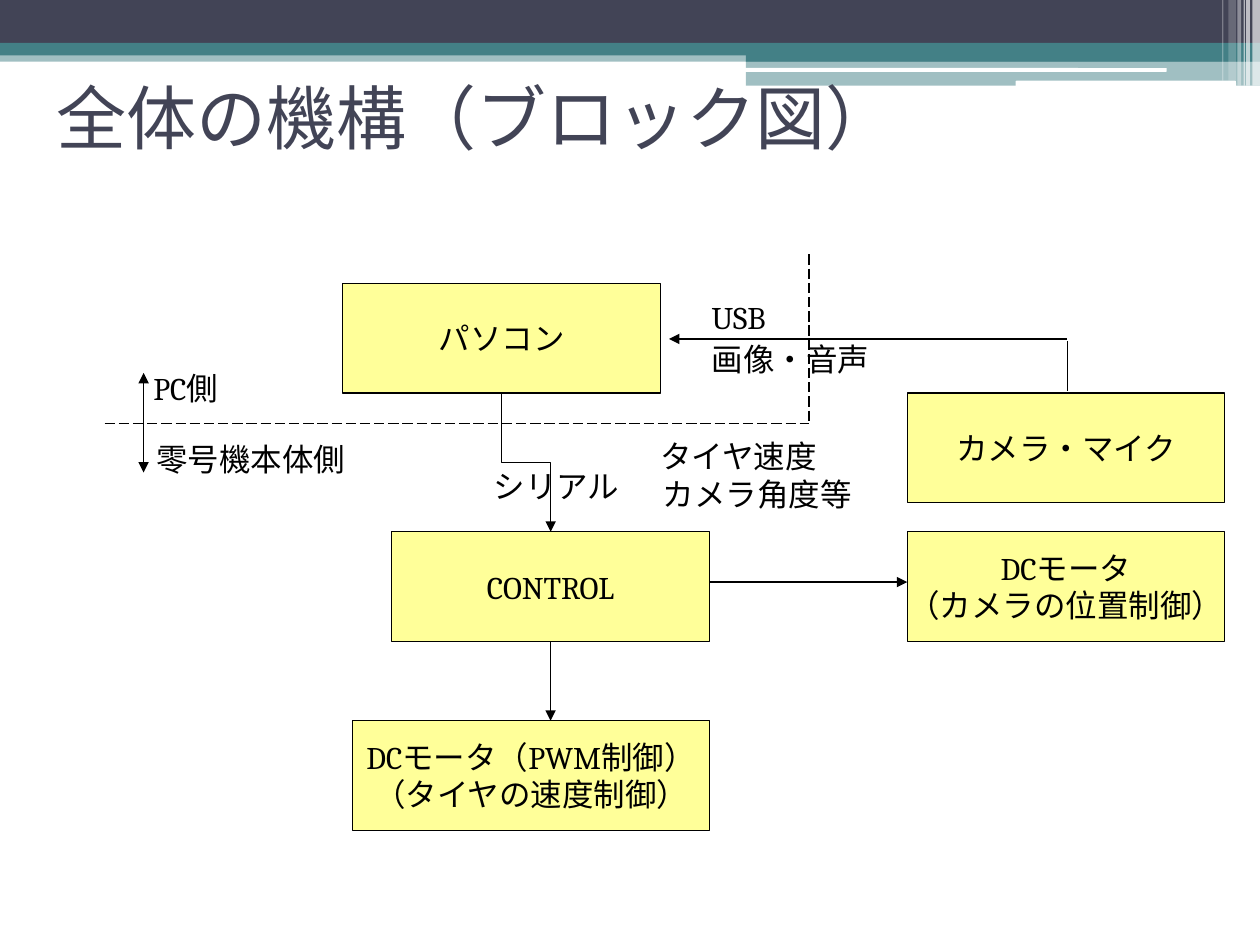
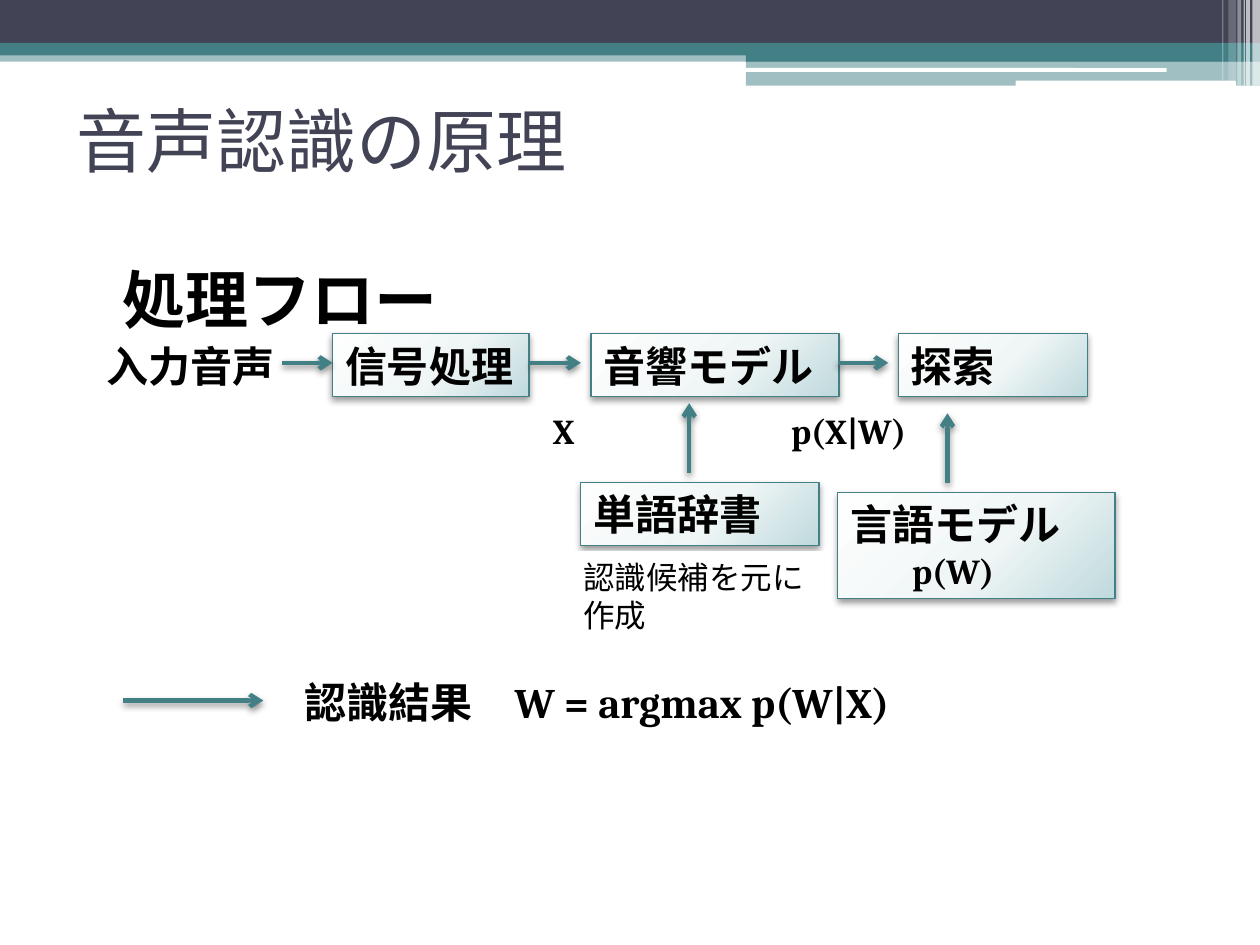
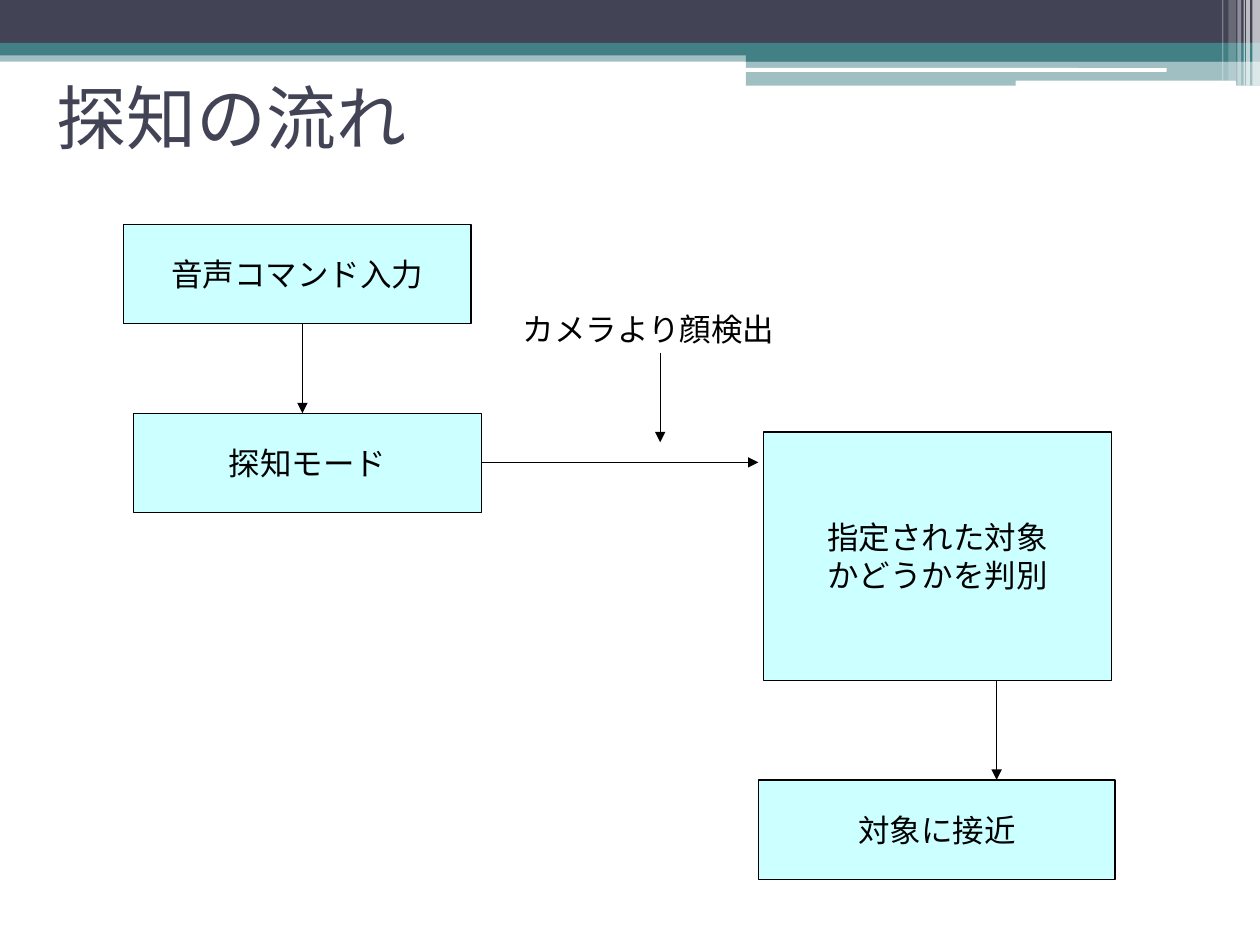
import pptx
import pptx.dml.color
import pptx.enum.dml
import pptx.enum.shapes
import pptx.enum.text
import pptx.oxml
import pptx.oxml.ns
import pptx.util

COLUMNS, ROWS = 100, 75
NAVY, TEAL, WHITE, BLACK = "424456", "438086", "FFFFFF", "000000"
YELLOW, AQUA = "FFFF99", "CCFFFF"
JAPANESE_FONT = "Noto Sans CJK JP"
RECTANGLE = pptx.enum.shapes.MSO_SHAPE.RECTANGLE
ROUNDED = pptx.enum.shapes.MSO_SHAPE.ROUNDED_RECTANGLE
TOP = pptx.enum.text.MSO_ANCHOR.TOP
MIDDLE = pptx.enum.text.MSO_ANCHOR.MIDDLE
LEFT = pptx.enum.text.PP_ALIGN.LEFT
CENTER = pptx.enum.text.PP_ALIGN.CENTER
NAMESPACE = pptx.oxml.ns.nsdecls("a")
GLOSS_STOPS = ((0, "FEFEFE"), (55, "F0F6F6"), (100, "BFD9DD"))

BANDS = (
    (0, 4, 100, 0.9, TEAL, 50, RECTANGLE),
    (0, 0, 100, 3.4, NAVY, 100, RECTANGLE),
    (0, 3.4, 100, 1, TEAL, 100, RECTANGLE),
    (59.2, 3.9, 40.8, 1, TEAL, 100, RECTANGLE),
    (59.2, 4.8, 40.8, 2, TEAL, 50, RECTANGLE),
    (59.1, 5.4, 33.5, 0.3, WHITE, 100, ROUNDED),
    (80.6, 6.4, 17.5, 0.5, WHITE, 100, ROUNDED),
    (99.4, 0, 0.6, 6.8, WHITE, 65, RECTANGLE),
    (98.9, 0, 0.3, 6.8, WHITE, 65, RECTANGLE),
    (98.7, 0, 0.1, 6.8, WHITE, 60, RECTANGLE),
    (98.2, 0, 0.3, 6.8, WHITE, 40, RECTANGLE),
    (97.5, 0, 0.6, 6.4, WHITE, 20, RECTANGLE),
    (97, 0, 0.1, 6.4, WHITE, 30, RECTANGLE),
)


def color(value):
    return pptx.dml.color.RGBColor.from_string(value)


def element(markup):
    return pptx.oxml.parse_xml(markup.replace(" ", f" {NAMESPACE} ", 1))


def write_text(frame, text, font="Cambria", size=18, ink=BLACK, bold=False,
               align=LEFT, anchor=TOP, wrap=True):
    frame.auto_size = pptx.enum.text.MSO_AUTO_SIZE.NONE
    frame.word_wrap = wrap
    frame.vertical_anchor = anchor
    frame.text = text
    for paragraph in frame.paragraphs:
        paragraph.alignment = align
        run = paragraph.runs[0]
        run.font.name = font
        run.font.size = pptx.util.Pt(size)
        run.font.bold = bold
        run.font.color.rgb = color(ink)
        latin = run.font._element.find(pptx.oxml.ns.qn("a:latin"))
        latin.addnext(element(f'<a:ea typeface="{JAPANESE_FONT}"/>'))
    return frame


def indent(paragraph, margin, first_line=0):
    properties = paragraph._p.get_or_add_pPr()
    properties.set("marL", str(pptx.util.Inches(margin)))
    properties.set("indent", str(pptx.util.Inches(first_line)))


def add_shadow(effects, opacity):
    effects.append(element(
        f'<a:outerShdw blurRad="{pptx.util.Pt(4)}" dist="{pptx.util.Pt(2)}" dir="5400000" '
        f'rotWithShape="0"><a:srgbClr val="{BLACK}"><a:alpha val="{opacity * 1000}"/>'
        '</a:srgbClr></a:outerShdw>'))


class Deck:
    def __init__(self):
        self.presentation = pptx.Presentation()
        self.presentation.slide_width = pptx.util.Inches(10)
        self.presentation.slide_height = pptx.util.Inches(7.5)
        self.slide = None
        self.font = "Cambria"

    def place(self, left, top, width, height):
        column = self.presentation.slide_width / COLUMNS
        row = self.presentation.slide_height / ROWS
        return [round(length) for length in
                (left * column, top * row, width * column, height * row)]

    def move(self, shape, area):
        shape.left, shape.top, shape.width, shape.height = self.place(*area)

    def start(self, title, layout="Title Only", area=(3.5, 3, 91.5, 12.5),
              title_font=JAPANESE_FONT, font="Cambria"):
        self.font = font
        layouts = self.presentation.slide_layouts
        self.slide = self.presentation.slides.add_slide(layouts.get_by_name(layout))
        heading = self.slide.shapes.title
        self.move(heading, area)
        write_text(heading.text_frame, title, font=title_font, size=40, ink=NAVY,
                   anchor=MIDDLE)

    def shape(self, area, fill, line=None, width=0.75, opacity=100, kind=RECTANGLE):
        shape = self.slide.shapes.add_shape(kind, *self.place(*area))
        shape.shadow.inherit = False
        shape.fill.solid()
        shape.fill.fore_color.rgb = color(fill)
        if opacity < 100:
            tint = shape.element.spPr.find(".//" + pptx.oxml.ns.qn("a:srgbClr"))
            tint.append(element(f'<a:alpha val="{opacity * 1000}"/>'))
        if line:
            shape.line.color.rgb = color(line)
            shape.line.width = pptx.util.Pt(width)
        else:
            shape.line.fill.background()
        return shape

    def master_bands(self):
        tree = self.presentation.slide_master.shapes.element
        for index, (*area, fill, opacity, kind) in enumerate(BANDS):
            band = self.shape(area, fill, opacity=opacity, kind=kind).element
            band.nvSpPr.cNvPr.set("id", str(100 + index))
            tree.insert(2 + index, band)

    def block(self, text, area, fill):
        shape = self.shape(area, fill, line=BLACK)
        write_text(shape.text_frame, text, font=self.font, align=CENTER,
                   anchor=MIDDLE, wrap=False)

    def glossy_block(self, text, area):
        shape = self.shape(area, WHITE, line=TEAL)
        properties = shape.element.spPr
        stops = "".join(f'<a:gs pos="{place * 1000}"><a:srgbClr val="{tint}"/></a:gs>'
                        for place, tint in GLOSS_STOPS)
        properties.replace(properties.find(pptx.oxml.ns.qn("a:solidFill")), element(
            f'<a:gradFill rotWithShape="1"><a:gsLst>{stops}</a:gsLst><a:path path="circle">'
            '<a:fillToRect l="-40000" t="-90000" r="140000" b="190000"/></a:path></a:gradFill>'))
        add_shadow(properties.find(pptx.oxml.ns.qn("a:effectLst")), 40)
        return write_text(shape.text_frame, text, font=self.font, size=24, bold=True)

    def label(self, text, area, **style):
        box = self.slide.shapes.add_textbox(*self.place(*area))
        write_text(box.text_frame, text, font=self.font, **style)

    def line(self, start, end, head="triangle", ink=BLACK, width=0.75, dashed=False,
             kind=pptx.enum.shapes.MSO_CONNECTOR.STRAIGHT):
        connector = self.slide.shapes.add_connector(kind, *self.place(*start, *end))
        connector.line.color.rgb = color(ink)
        connector.line.width = pptx.util.Pt(width)
        if dashed:
            connector.line.dash_style = pptx.enum.dml.MSO_LINE.LONG_DASH
        properties = connector.element.spPr
        if head:
            outline = properties.find(pptx.oxml.ns.qn("a:ln"))
            outline.append(element(f'<a:tailEnd type="{head}"/>'))
        properties.append(element("<a:effectLst />"))
        return connector

    def flow_arrow(self, start, end):
        connector = self.line(start, end, head="arrow", ink=TEAL, width=2.5)
        add_shadow(connector.element.spPr.find(pptx.oxml.ns.qn("a:effectLst")), 45)

    def downward_elbow(self, start, end):
        middle_x, middle_y = (start[0] + end[0]) / 2, (start[1] + end[1]) / 2
        half_width, half_height = (end[0] - start[0]) / 2, (end[1] - start[1]) / 2
        connector = self.line((middle_x + half_height, middle_y - half_width),
                              (middle_x - half_height, middle_y + half_width),
                              kind=pptx.enum.shapes.MSO_CONNECTOR.ELBOW)
        connector.element.spPr.xfrm.set("rot", "16200000")


def block_diagram(deck):
    deck.start("全体の機構（ブロック図）")
    deck.master_bands()
    for text, left, top, width in (
            ("パソコン", 27.2, 22.5, 25.2),
            ("DCモータ（PWM制御）\n（タイヤの速度制御）", 28, 57.2, 28.3),
            ("CONTROL", 31.1, 42.2, 25.2),
            ("カメラ・マイク", 72, 31.2, 25.2),
            ("DCモータ\n（カメラの位置制御）", 72, 42.2, 25.2)):
        deck.block(text, (left, top, width, 8.7), YELLOW)
    for text, left, top, width in (
            ("USB", 55.5, 23.2, 8.7),
            ("画像・音声", 55.5, 26.5, 17.3),
            ("シリアル", 38.2, 36.6, 12.6),
            ("PC側", 11.2, 28.8, 12.6),
            ("零号機本体側", 11.4, 34.4, 21.3),
            ("タイヤ速度", 51.4, 34.2, 18.1),
            ("カメラ角度等", 51.6, 37.2, 18.9)):
        deck.label(text, (left, top, width, 4))
    border_corner = (64.2, 33.6)
    for border_end in ((8.3, 33.6), (64.2, 20.2)):
        deck.line(border_end, border_corner, head=None, dashed=True)
    for side_end in (29.6, 37.5):
        deck.line((11.4, 33.6), (11.4, side_end))
    deck.line((43.7, 50.9), (43.7, 57.2))
    deck.line((56.3, 46.2), (72, 46.2))
    deck.line((84.7, 26.9), (53.1, 26.9))
    deck.line((84.7, 27.1), (84.7, 31), head=None)
    deck.downward_elbow((39.8, 31.2), (43.7, 42.2))


def speech_recognition(deck):
    deck.start("音声認識の原理", layout="Title and Content", area=(5.1, 5.2, 90, 11.7),
               title_font="Arial")
    body = deck.slide.placeholders[1]
    deck.move(body, (7.5, 20.2, 80.3, 52))
    heading = write_text(body.text_frame, "処理フロー", size=36, bold=True).paragraphs[0]
    heading.space_before = pptx.util.Pt(3)
    indent(heading, 0.4, -0.28)
    heading._p.get_or_add_pPr().append(element("<a:buNone />"))
    for text, left, top, width in (
            ("信号処理", 26.4, 26.5, 15.6),
            ("音響モデル", 46.9, 26.5, 19.7),
            ("探索", 71.3, 26.5, 15),
            ("単語辞書", 46.1, 38.3, 18.9)):
        deck.glossy_block(text, (left, top, width, 5))
    language_model = deck.glossy_block("言語モデル\np(W)", (66.5, 39.1, 22, 8.4))
    probability = language_model.paragraphs[1]
    probability.runs[0].font.size = pptx.util.Pt(20)
    indent(probability, 0.49)
    for left in (22.4, 42.1, 66.5):
        deck.flow_arrow((left, 28.8), (left + 4, 28.8))
    for left, bottom in ((54.7, 37.5), (75.2, 38.3)):
        deck.flow_arrow((left, bottom), (left, bottom - 5.5))
    deck.flow_arrow((9.8, 55.6), (20.9, 55.6))
    for text, left, top, width, size in (
            ("入力音声", 7.5, 26.5, 19.7, 24),
            ("認識結果　W = argmax p(W|X)", 23.2, 53.2, 59.8, 24),
            ("p(X|W)", 61.8, 32, 14.2, 20),
            ("X", 42.9, 32, 8.7, 20)):
        deck.label(text, (left, top, width, 5), size=size, bold=True)
    note = deck.shape((45.3, 43.8, 20.5, 7.1), WHITE, line=WHITE, width=1.5)
    write_text(note.text_frame, "認識候補を元に作成")


def detection_flow(deck):
    deck.start("探知の流れ", font="Roboto")
    for text, left, top, width, height in (
            ("音声コマンド入力", 9.8, 17.8, 27.6, 7.9),
            ("探知モード", 10.6, 32.8, 27.6, 7.9),
            ("指定された対象\nかどうかを判別", 60.6, 34.3, 27.6, 19.7),
            ("対象に接近", 60.2, 61.9, 28.3, 7.9)):
        deck.block(text, (left, top, width, height), AQUA)
    deck.label("カメラより顔検出", (40.5, 24.1, 26, 4))
    for start, end in (
            ((24, 25.7), (24, 32.8)),
            ((52.4, 28), (52.4, 35.1)),
            ((38.2, 36.7), (60.2, 36.7)),
            ((79.1, 54), (79.1, 61.9))):
        deck.line(start, end)


def main():
    deck = Deck()
    block_diagram(deck)
    speech_recognition(deck)
    detection_flow(deck)
    deck.presentation.save("out.pptx")


if __name__ == "__main__":
    main()
